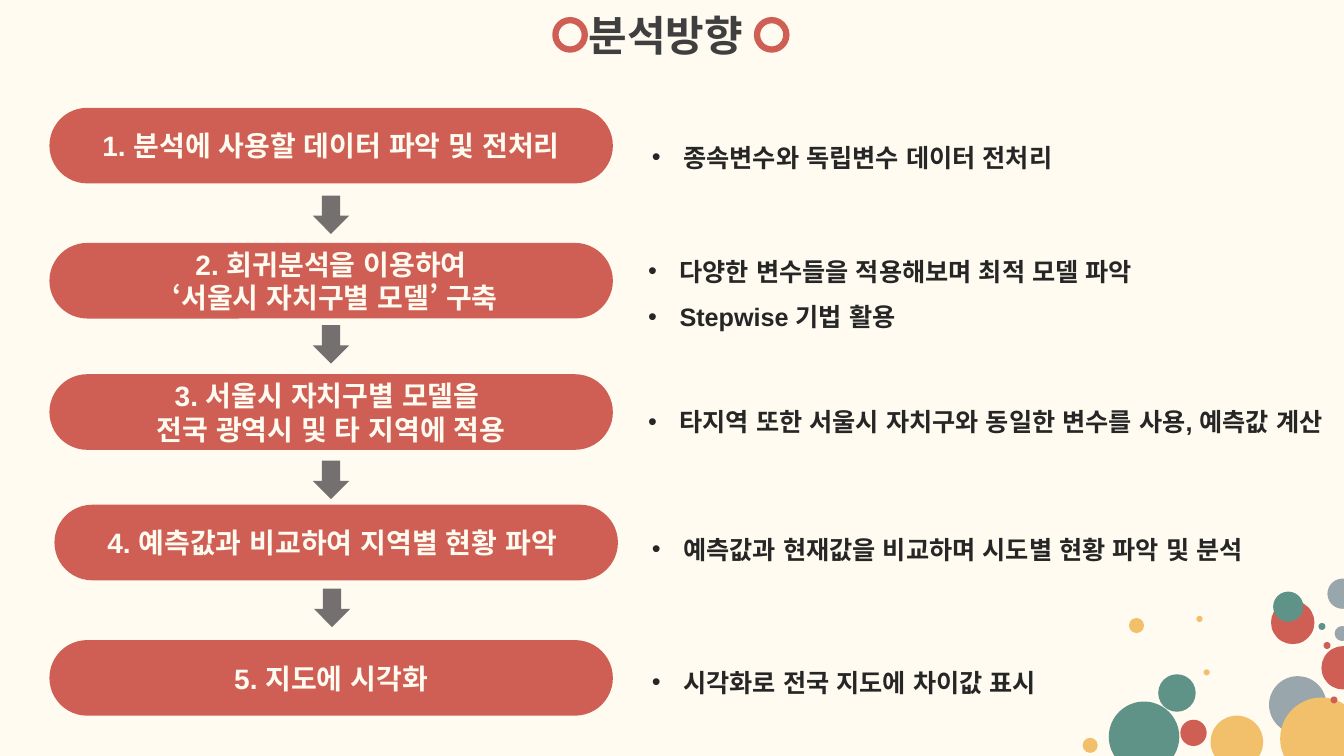
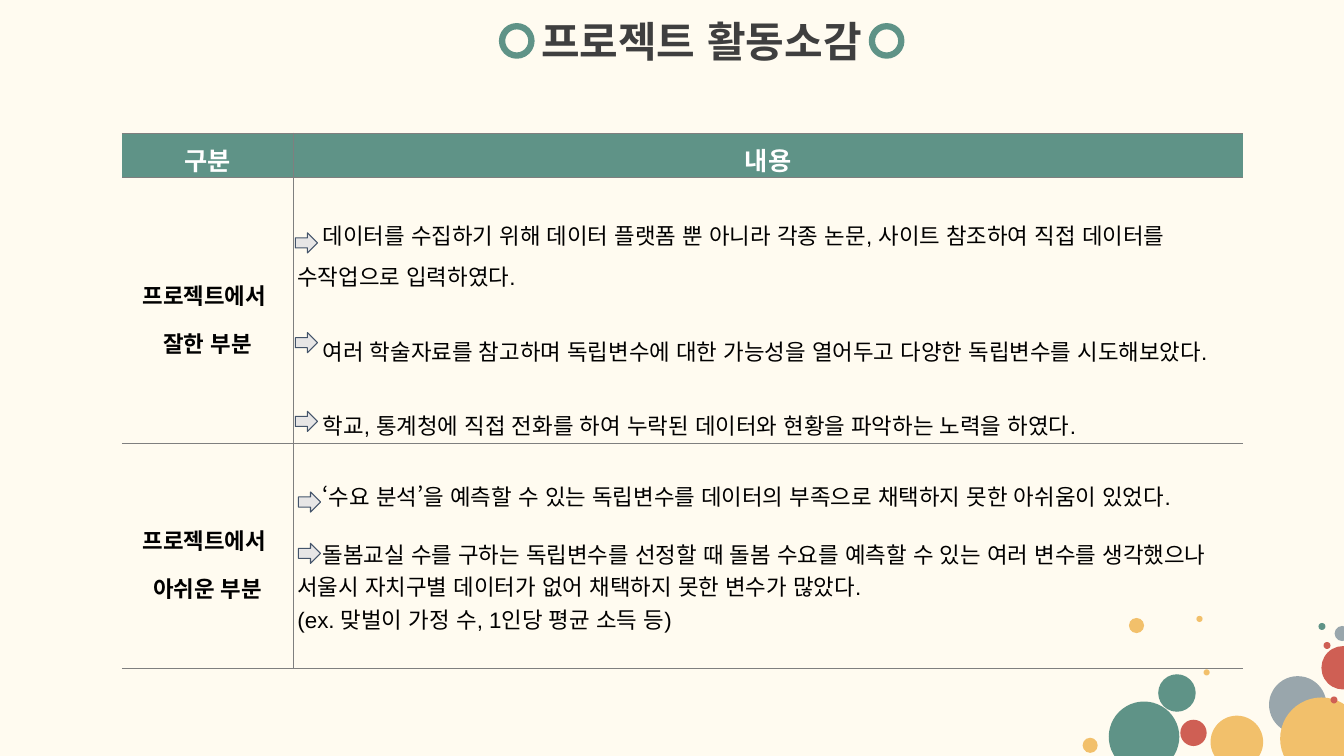
"""Build two slides: the analysis plan and the project reflections."""
from dataclasses import dataclass

from lxml.etree import SubElement
from pptx import Presentation
from pptx.dml.color import RGBColor
from pptx.enum.lang import MSO_LANGUAGE_ID
from pptx.enum.shapes import MSO_SHAPE
from pptx.enum.text import MSO_ANCHOR, PP_ALIGN
from pptx.oxml.ns import qn
from pptx.util import Pt


@dataclass(frozen=True)
class Theme:
    cream: str = "FFFBF0"
    red: str = "CF5F54"
    teal: str = "5F9387"
    gold: str = "F2C06B"
    gray: str = "99A6AC"
    title: str = "3F3F3F"
    note: str = "262626"
    black: str = "000000"
    white: str = "FFFFFF"
    flow: str = "757070"
    rule: str = "7F7F7F"
    marker: str = "E7E6E6"
    marker_edge: str = "44546A"
    font: str = "Arial"
    title_size: int = 30
    step_size: int = 20
    note_size: int = 18
    cell_size: int = 16


THEME = Theme()

BUBBLES = [
    (906.5, 483, 41, THEME.gray), (914.4, 498.2, 59, THEME.gold),
    (806.4, 441.4, 10.8, THEME.gold), (792, 501.1, 50.4, THEME.teal),
    (953.3, 447.1, 10.8, THEME.gray), (864.7, 511.2, 37.6, THEME.gold),
    (843.1, 514.1, 18.8, THEME.red), (827.3, 481.6, 26.8, THEME.teal),
    (859.7, 478.1, 4.4, THEME.gold), (950.4, 497.5, 5, THEME.red),
    (854.6, 439.9, 4.4, THEME.gold), (945.4, 458.6, 5, THEME.red),
    (941.8, 445, 5, THEME.teal), (773.3, 527, 10.8, THEME.gold),
    (943.9, 461.5, 31, THEME.red),
]
EXTRA_BUBBLES = [
    (907.9, 429.1, 31, THEME.red), (909.4, 422.6, 21.6, THEME.teal),
    (948.2, 413.3, 21.6, THEME.gray),
]

PLAN_TITLE = {"text": "분석방향 ", "box": (408.2, 3.6, 143.3, 31),
              "rings": (396.7, 540.7), "ring_top": 14.4, "color": THEME.red}
REVIEW_TITLE = {"text": "프로젝트 활동소감", "box": (362.2, 7.9, 277.9, 31),
                "rings": (358.6, 622.8), "ring_top": 18.7, "color": THEME.teal}

PILL_WIDTH, PILL_HEIGHT = 402.5, 54
STEPS = [
    {"lines": ["1. 분석에 사용할 데이터 파악 및 전처리"], "at": (35.3, 77),
     "notes": ["종속변수와 독립변수 데이터 전처리"], "note_box": (458.6, 87.1, 366, 30)},
    {"lines": ["2. 회귀분석을 이용하여", " ‘서울시 자치구별 모델’ 구축"], "at": (35.3, 173.5),
     "notes": ["다양한 변수들을 적용해보며 최적 모델 파악", "Stepwise 기법 활용"],
     "note_box": (455.8, 168.5, 436, 30)},
    {"lines": ["3. 서울시 자치구별 모델을 ", "전국 광역시 및 타 지역에 적용"], "at": (35.3, 267.3),
     "notes": ["타지역 또한 서울시 자치구와 동일한 변수를 사용, 예측값 계산"],
     "note_box": (455.8, 275.8, 499.7, 30)},
    {"lines": ["4. 예측값과 비교하여 지역별 현황 파악 "], "at": (38.9, 360.5),
     "notes": ["예측값과 현재값을 비교하며 시도별 현황 파악 및 분석"],
     "note_box": (458.6, 367.2, 463, 30)},
    {"lines": ["5. 지도에 시각화"], "at": (35.3, 457.2),
     "notes": ["시각화로 전국 지도에 차이값 표시"], "note_box": (458.6, 462.2, 366, 30)},
]
FLOW_WIDTH, FLOW_HEIGHT = 26, 27.4
FLOW_CENTERS = [(236.4, 153.4), (236.4, 246), (236.4, 342.8), (237.2, 434.2)]

TABLE_LEFT, TABLE_TOP = 87.1, 95
COLUMN_WIDTHS = [122.4, 678.2]
ROW_HEIGHTS = [32, 189.5, 161]
HEADINGS = ["구분", "내용"]
REVIEWS = [
    {"label": ["프로젝트에서 ", "잘한 부분"], "spacing": 1.3, "top": 22,
     "points": [
         ("데이터를 수집하기 위해 데이터 플랫폼 뿐 아니라 각종 논문, 사이트 참조하여 직접 데이터를 "
          "수작업으로 입력하였다.", 18, 0),
         ("여러 학술자료를 참고하며 독립변수에 대한 가능성을 열어두고 다양한 독립변수를 시도해보았다.", 18, 23),
         ("학교, 통계청에 직접 전화를 하여 누락된 데이터와 현황을 파악하는 노력을 하였다.", 18, 23)]},
    {"label": ["프로젝트에서 ", "아쉬운 부분"], "spacing": 1, "top": 26,
     "points": [
         ("‘수요 분석’을 예측할 수 있는 독립변수를 데이터의 부족으로 채택하지 못한 아쉬움이 있었다.", 18, 0),
         ("돌봄교실 수를 구하는 독립변수를 선정할 때 돌봄 수요를 예측할 수 있는 여러 변수를 생각했으나 "
          "서울시 자치구별 데이터가 없어 채택하지 못한 변수가 많았다.", 18, 18.5),
         ("(ex. 맞벌이 가정 수, 1인당 평균 소득 등)", 0, 0)]},
]
MARKERS = [(211, 166.3), (211, 237.6), (211, 293.8), (213.2, 351.4), (213.2, 388.1)]


def rgb(color):
    return RGBColor.from_string(color)


def add_span(para, text, size, color, bold=True):
    span = para.add_run()
    span.text = text
    span.font.name = THEME.font
    span.font.size = Pt(size)
    span.font.bold = bold
    span.font.color.rgb = rgb(color)
    span.font.language_id = MSO_LANGUAGE_ID.KOREAN


def write_lines(frame, lines, size, color, align=PP_ALIGN.CENTER, spacing=None):
    frame.word_wrap = True
    for index, line in enumerate(lines):
        para = frame.add_paragraph() if index else frame.paragraphs[0]
        para.alignment = align
        if spacing:
            para.line_spacing = spacing
        add_span(para, line, size, color)


def add_figure(page, preset, box, fill=None, line=None, line_width=0.75):
    shape = page.shapes.add_shape(preset, *map(Pt, box))
    shape.shadow.inherit = False
    if fill:
        shape.fill.solid()
        shape.fill.fore_color.rgb = rgb(fill)
    else:
        shape.fill.background()
    if line:
        shape.line.color.rgb = rgb(line)
        shape.line.width = Pt(line_width)
    else:
        shape.line.fill.background()
    return shape


def add_page(deck, title, bubbles):
    page = deck.slides.add_slide(deck.slide_layouts[6])
    page.background.fill.solid()
    page.background.fill.fore_color.rgb = rgb(THEME.cream)
    for left, top, size, color in bubbles:
        add_figure(page, MSO_SHAPE.OVAL, (left, top, size, size), color)
    box = page.shapes.add_textbox(*map(Pt, title["box"]))
    write_lines(box.text_frame, [title["text"]], THEME.title_size, THEME.title)
    for left in title["rings"]:
        add_figure(page, MSO_SHAPE.OVAL, (left, title["ring_top"], 21, 21),
                   line=title["color"], line_width=4.5)
    return page


def add_bullet(para):
    properties = para._p.get_or_add_pPr()
    properties.set("marL", str(Pt(22.5)))
    properties.set("indent", str(-Pt(22.5)))
    color = SubElement(properties, qn("a:buClr"))
    SubElement(color, qn("a:srgbClr"), val=THEME.note)
    SubElement(properties, qn("a:buFont"), typeface=THEME.font)
    SubElement(properties, qn("a:buChar"), char="•")


def build_plan(deck):
    page = add_page(deck, PLAN_TITLE, EXTRA_BUBBLES + BUBBLES)
    for step in STEPS:
        pill = add_figure(page, MSO_SHAPE.ROUNDED_RECTANGLE,
                          (*step["at"], PILL_WIDTH, PILL_HEIGHT), THEME.red)
        pill.adjustments[0] = 0.5
        pill.text_frame.vertical_anchor = MSO_ANCHOR.MIDDLE
        write_lines(pill.text_frame, step["lines"], THEME.step_size, THEME.cream)
        box = page.shapes.add_textbox(*map(Pt, step["note_box"]))
        write_lines(box.text_frame, step["notes"], THEME.note_size, THEME.note,
                    PP_ALIGN.LEFT, 1.5)
        for para in box.text_frame.paragraphs:
            add_bullet(para)
    for x, y in FLOW_CENTERS:
        add_figure(page, MSO_SHAPE.DOWN_ARROW,
                   (x - FLOW_WIDTH / 2, y - FLOW_HEIGHT / 2, FLOW_WIDTH, FLOW_HEIGHT),
                   THEME.flow)


def set_borders(cell, visible):
    properties = cell._tc.get_or_add_tcPr()
    for index, side in enumerate("LRTB"):
        edge = properties.makeelement(qn(f"a:ln{side}"), {"w": str(Pt(0.75))})
        if side in visible:
            fill = SubElement(edge, qn("a:solidFill"))
            SubElement(fill, qn("a:srgbClr"), val=THEME.rule)
        else:
            SubElement(edge, qn("a:noFill"))
        properties.insert(index, edge)


def style_cell(cell, row, column):
    cell.margin_left = cell.margin_right = cell.margin_top = cell.margin_bottom = 0
    cell.vertical_anchor = MSO_ANCHOR.MIDDLE
    if row == 0:
        cell.fill.solid()
        cell.fill.fore_color.rgb = rgb(THEME.teal)
    else:
        cell.fill.background()
    set_borders(cell, "TB" + "RL"[column])


def write_points(cell, review):
    cell.vertical_anchor = MSO_ANCHOR.TOP
    cell.margin_left = Pt(3)
    cell.margin_top = Pt(review["top"])
    for index, (text, indent, gap) in enumerate(review["points"]):
        para = cell.text_frame.add_paragraph() if index else cell.text_frame.paragraphs[0]
        para.line_spacing = float(review["spacing"])
        para.space_before = Pt(gap)
        para._p.get_or_add_pPr().set("indent", str(Pt(indent)))
        add_span(para, text, THEME.cell_size, THEME.black, bold=False)


def build_review(deck):
    page = add_page(deck, REVIEW_TITLE, BUBBLES)
    frame = page.shapes.add_table(len(ROW_HEIGHTS), len(COLUMN_WIDTHS), Pt(TABLE_LEFT),
                                  Pt(TABLE_TOP), Pt(sum(COLUMN_WIDTHS)), Pt(sum(ROW_HEIGHTS)))
    table = frame.table
    table.first_row = table.horz_banding = False
    for column, width in zip(table.columns, COLUMN_WIDTHS):
        column.width = Pt(width)
    for row, height in enumerate(ROW_HEIGHTS):
        table.rows[row].height = Pt(height)
        for column in range(len(COLUMN_WIDTHS)):
            style_cell(table.cell(row, column), row, column)
    for column, heading in enumerate(HEADINGS):
        write_lines(table.cell(0, column).text_frame, [heading], THEME.note_size,
                    THEME.white, spacing=1.2)
    for row, review in enumerate(REVIEWS, start=1):
        write_lines(table.cell(row, 0).text_frame, review["label"], THEME.cell_size,
                    THEME.black, spacing=1.5)
        write_points(table.cell(row, 1), review)
    for left, top in MARKERS:
        add_figure(page, MSO_SHAPE.RIGHT_ARROW, (left, top, 15.8, 14.4),
                   THEME.marker, THEME.marker_edge)


def main():
    deck = Presentation()
    deck.slide_width, deck.slide_height = Pt(960), Pt(540)
    build_plan(deck)
    build_review(deck)
    deck.save("out.pptx")


if __name__ == "__main__":
    main()
